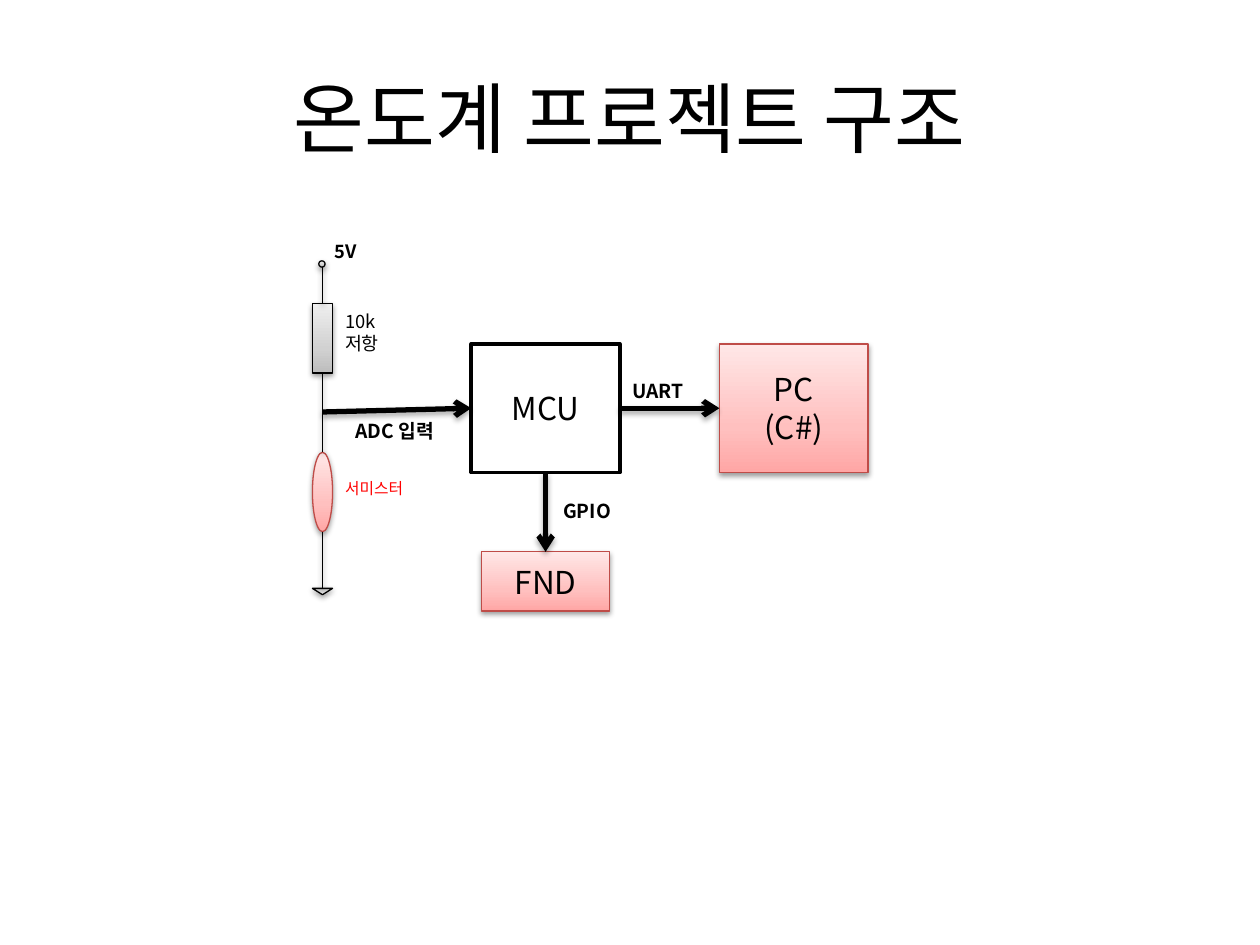
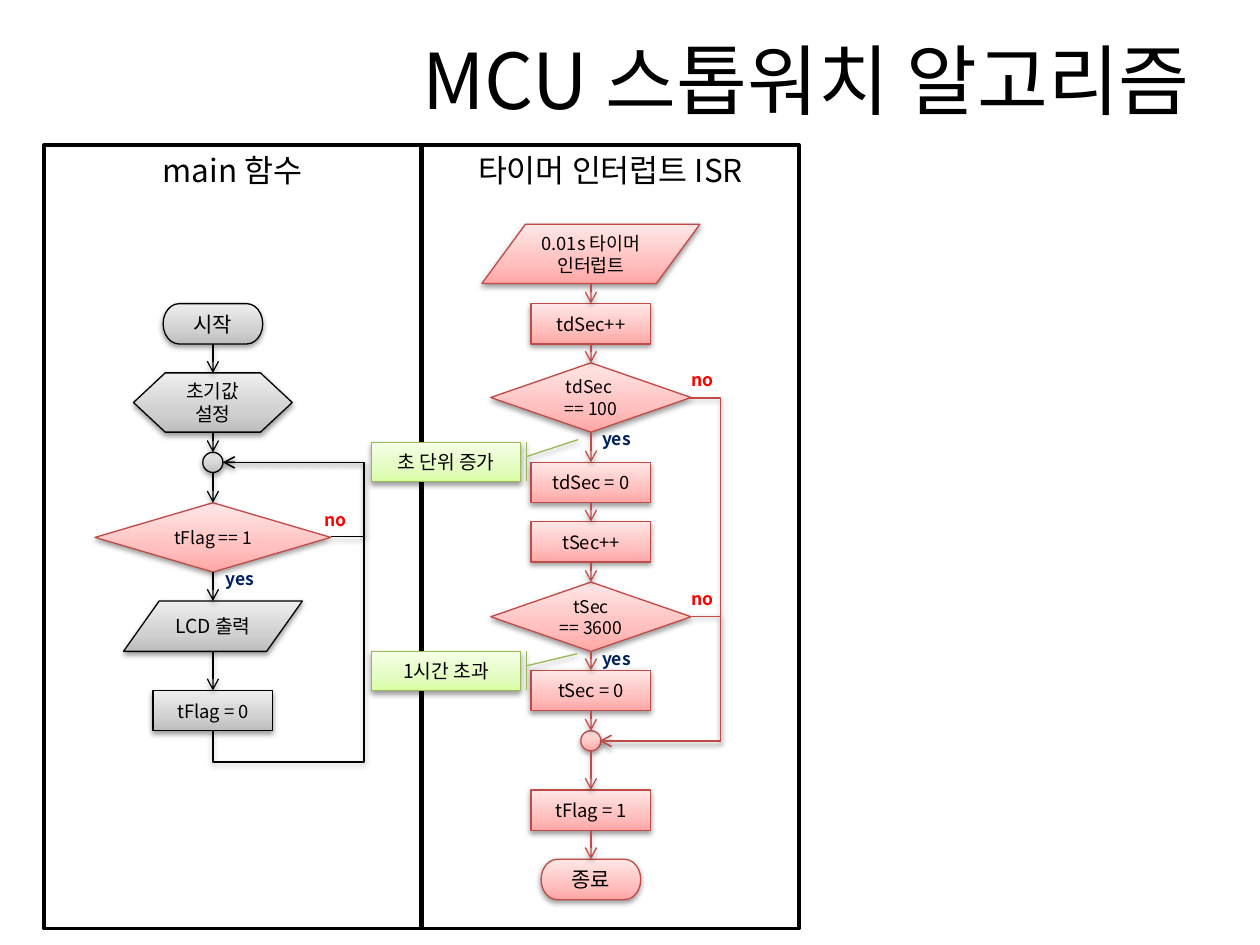
import copy

import lxml.etree
import pptx
import pptx.dml.color
import pptx.enum.shapes
import pptx.enum.text
import pptx.oxml.ns
import pptx.util

Inches = pptx.util.Inches
Pt = pptx.util.Pt
RGBColor = pptx.dml.color.RGBColor
SHAPE = pptx.enum.shapes.MSO_SHAPE
CONNECTOR = pptx.enum.shapes.MSO_CONNECTOR
ALIGN = pptx.enum.text.PP_ALIGN
ANCHOR = pptx.enum.text.MSO_ANCHOR
AUTO_SIZE = pptx.enum.text.MSO_AUTO_SIZE
qn = pptx.oxml.ns.qn

# Shared style
FONT = "Noto Sans CJK KR"
BLACK = RGBColor(0x00, 0x00, 0x00)
WHITE = RGBColor(0xFF, 0xFF, 0xFF)
RED = RGBColor(0xFF, 0x00, 0x00)
NAVY = RGBColor(0x00, 0x20, 0x60)
ROSE_LINE = RGBColor(0xBF, 0x4C, 0x48)
GREEN_LINE = RGBColor(0x98, 0xB9, 0x55)

# Palette: line colour, then gradient colours from bottom to top
GRAY = (BLACK, (RGBColor(0xBD, 0xBD, 0xBD), RGBColor(0xD1, 0xD1, 0xD1),
                RGBColor(0xEE, 0xEE, 0xEE)))
ROSE = (ROSE_LINE, (RGBColor(0xFF, 0xA6, 0xA5), RGBColor(0xFF, 0xC0, 0xBF),
                    RGBColor(0xFF, 0xE7, 0xE7)))
GREEN = (GREEN_LINE, (RGBColor(0xDA, 0xFD, 0xA7), RGBColor(0xE4, 0xFC, 0xC2),
                      RGBColor(0xF5, 0xFF, 0xE7)))
GRADIENT_STOPS = (0, 0.35, 1)

# Flowchart nodes: shape, width, height, text size
NODES = {
    "terminator": (SHAPE.FLOWCHART_TERMINATOR, 0.79, 0.32, 12),
    "preparation": (SHAPE.FLOWCHART_PREPARATION, 1.26, 0.47, 11),
    "process": (SHAPE.FLOWCHART_PROCESS, 0.95, 0.32, 10.5),
    "output": (SHAPE.FLOWCHART_DATA, 1.42, 0.4, 11),
    "interrupt": (SHAPE.FLOWCHART_DATA, 1.73, 0.47, 10.5),
    "decision": (SHAPE.FLOWCHART_DECISION, 1.59, 0.55, 10),
    "wide decision": (SHAPE.FLOWCHART_DECISION, 1.87, 0.55, 10),
    "junction": (SHAPE.FLOWCHART_CONNECTOR, 0.16, 0.16, 10),
}


def write_text(frame, text, size=18, color=BLACK, bold=False,
               align=ALIGN.CENTER, anchor=ANCHOR.MIDDLE):
    frame.word_wrap = True
    frame.vertical_anchor = anchor
    for index, line in enumerate(text.split("\n")):
        paragraph = frame.add_paragraph() if index else frame.paragraphs[0]
        paragraph.alignment = align
        run = paragraph.add_run()
        run.text = line
        run.font.name = FONT
        run.font.size = Pt(size)
        run.font.bold = bold
        run.font.color.rgb = color
        properties = run.font._element
        lxml.etree.SubElement(properties, qn("a:ea"), typeface=FONT)


def add_shadow(properties, alpha=38, distance=20000):
    effects = properties.find(qn("a:effectLst"))
    if effects is None:
        effects = lxml.etree.SubElement(properties, qn("a:effectLst"))
    shadow = lxml.etree.SubElement(
        effects, qn("a:outerShdw"), blurRad="40000", dist=str(distance),
        dir="5400000", rotWithShape="0")
    color = lxml.etree.SubElement(shadow, qn("a:srgbClr"), val="000000")
    lxml.etree.SubElement(color, qn("a:alpha"), val=str(alpha * 1000))


def fill_gradient(shape, colors):
    shape.fill.gradient()
    shape.fill.gradient_angle = 90
    stop_list = shape._element.spPr.find(qn("a:gradFill")).find(qn("a:gsLst"))
    stop_list.append(copy.deepcopy(stop_list[-1]))
    for stop, color, position in zip(shape.fill.gradient_stops, colors, GRADIENT_STOPS):
        stop.color.rgb = color
        stop.position = position


class Diagram:
    """Holds the presentation and the slide being drawn."""

    def __init__(self):
        self.presentation = pptx.Presentation()
        self.presentation.slide_width = Inches(10)
        self.presentation.slide_height = Inches(7.5)
        self.slide = None

    def new_slide(self, title, left, top, width, height):
        self.slide = self.presentation.slides.add_slide(
            self.presentation.slide_layouts[5])
        shape = self.slide.shapes.title
        shape.left, shape.top = Inches(left), Inches(top)
        shape.width, shape.height = Inches(width), Inches(height)
        write_text(shape.text_frame, title, size=44)

    def box(self, kind, left, top, width, height, palette=None, text="", **text_format):
        """A shape with a gradient and shadow, or a plain white frame without palette."""
        shape = self.slide.shapes.add_shape(
            kind, Inches(left), Inches(top), Inches(width), Inches(height))
        shape.shadow.inherit = False
        if palette:
            line_color, colors = palette
            fill_gradient(shape, colors)
            shape.line.color.rgb = line_color
            shape.line.width = Pt(0.75)
            add_shadow(shape._element.spPr)
        else:
            shape.fill.solid()
            shape.fill.fore_color.rgb = WHITE
            shape.line.color.rgb = BLACK
            shape.line.width = Pt(2)
        if text:
            write_text(shape.text_frame, text, **text_format)
        return shape

    def label(self, text, left, top, width, height, **text_format):
        shape = self.slide.shapes.add_textbox(
            Inches(left), Inches(top), Inches(width), Inches(height))
        write_text(shape.text_frame, text, align=ALIGN.LEFT,
                   anchor=ANCHOR.TOP, **text_format)
        shape.text_frame.auto_size = AUTO_SIZE.SHAPE_TO_FIT_TEXT

    def line(self, start, end, color=BLACK, weight=0.75, arrow=True,
             kind=CONNECTOR.STRAIGHT):
        connector = self.slide.shapes.add_connector(
            kind, *(Inches(value) for value in (*start, *end)))
        connector.line.color.rgb = color
        connector.line.width = Pt(weight)
        properties = connector._element.spPr
        if arrow:
            lxml.etree.SubElement(properties.find(qn("a:ln")), qn("a:tailEnd"),
                                  type="arrow")
        if weight > 1:
            add_shadow(properties, alpha=35, distance=23000)
        else:
            add_shadow(properties)
        return connector

    def elbow(self, start, end, adjustments, color=BLACK):
        connector = self.line(start, end, color, kind=CONNECTOR.ELBOW)
        geometry = connector._element.spPr.find(qn("a:prstGeom"))
        values = geometry.find(qn("a:avLst"))
        if values is None:
            values = lxml.etree.SubElement(geometry, qn("a:avLst"))
        for number, value in enumerate(adjustments, 1):
            lxml.etree.SubElement(values, qn("a:gd"), name=f"adj{number}",
                                  fmla=f"val {round(value * 100000)}")
        return connector

    def side_loop(self, start, end, side, color=BLACK):
        """Leave to the right, run along x = side and come back to the end."""
        self.elbow(start, end, [(side - start[0]) / (end[0] - start[0])], color)

    def under_loop(self, start, end, side, drop):
        """Leave downwards by drop, then run along x = side up to the end."""
        run, rise = end[0] - start[0], start[1] - end[1]
        middle_x, middle_y = (start[0] + end[0]) / 2, (start[1] + end[1]) / 2
        connector = self.elbow(
            (middle_x + rise / 2, middle_y + run / 2),
            (middle_x - rise / 2, middle_y - run / 2),
            [-drop / rise, (side - start[0]) / run])
        properties = connector._element.spPr
        properties.xfrm.set("rot", "5400000")
        properties.find(qn("a:prstGeom")).set("prst", "bentConnector4")

    def flow(self, center, nodes, palette):
        """A column of (kind, text, top) nodes with arrows between neighbours."""
        previous_bottom = None
        for kind, text, top in nodes:
            shape_kind, width, height, size = NODES[kind]
            node_palette = ROSE if kind == "wide decision" else palette
            self.box(shape_kind, center - width / 2, top, width, height,
                     node_palette, text, size=size)
            if previous_bottom is not None:
                self.line((center, previous_bottom), (center, top), palette[0])
            previous_bottom = top + height

    def callout(self, text, top, tip):
        shape = self.box(SHAPE.LINE_CALLOUT_1_BORDER_AND_ACCENT_BAR, 2.95, top,
                         1.18, 0.31, GREEN, text, size=11)
        for index, value in enumerate((0.37, 1.04, *tip)):
            shape.adjustments[index] = value


diagram = Diagram()

# Slide 1: structure of the thermometer
diagram.new_slide("온도계 프로젝트 구조", 0.5, 0.3, 9, 1.25)
diagram.box(SHAPE.RECTANGLE, 3.74, 2.73, 1.18, 1.02, text="MCU")

# Voltage divider: supply, resistor, thermistor, ground
WIRE = 2.56
diagram.box(SHAPE.FLOWCHART_CONNECTOR, 2.53, 2.07, 0.05, 0.05, GRAY)
diagram.box(SHAPE.FLOWCHART_PROCESS, 2.48, 2.41, 0.16, 0.55, GRAY)
diagram.box(SHAPE.OVAL, 2.48, 3.59, 0.16, 0.63, ROSE)
ground = diagram.box(SHAPE.ISOSCELES_TRIANGLE, 2.48, 4.67, 0.16, 0.05, GRAY)
ground._element.spPr.xfrm.set("flipV", "1")
for top, bottom in ((2.12, 2.41), (2.96, 3.59), (4.22, 4.67)):
    diagram.line((WIRE, top), (WIRE, bottom), arrow=False)
diagram.label("10k 저항", 2.64, 2.41, 0.55, 0.47, size=10.5)
diagram.label("서미스터", 2.64, 3.75, 0.71, 0.25, size=9, color=RED)
diagram.label("5V", 2.56, 1.86, 0.55, 0.28, size=10.5, bold=True)

# Peripherals and signals
diagram.box(SHAPE.RECTANGLE, 3.82, 4.38, 1.02, 0.47, ROSE, "FND")
diagram.box(SHAPE.RECTANGLE, 5.71, 2.73, 1.18, 1.02, ROSE, "PC\n(C#)")
for start, end in (((WIRE, 3.27), (3.74, 3.24)), ((4.33, 3.75), (4.33, 4.38)),
                   ((4.92, 3.24), (5.71, 3.24))):
    diagram.line(start, end, weight=3)
for text, left, top, width in (("ADC 입력", 2.72, 3.28, 0.94),
                               ("UART", 4.92, 2.96, 0.71),
                               ("GPIO", 4.37, 3.91, 0.71)):
    diagram.label(text, left, top, width, 0.29, size=11, bold=True)

# Slide 2: stopwatch flowcharts
diagram.new_slide("MCU 스톱워치 알고리즘", 2.8, 0, 7.2, 1.25)
for column, heading in enumerate(("main 함수", "타이머 인터럽트 ISR")):
    diagram.box(SHAPE.RECTANGLE, 0.35 + column * 3, 1.15, 2.99, 6.22,
                text=heading, anchor=ANCHOR.TOP)

# Main function
MAIN = 1.69
diagram.flow(MAIN, (
    ("terminator", "시작", 2.41),
    ("preparation", "초기값\n설정", 2.96),
    ("junction", "", 3.59),
    ("wide decision", "tFlag == 1", 3.99),
    ("output", "LCD 출력", 4.77),
    ("process", "tFlag = 0", 5.48),
), GRAY)
diagram.under_loop((MAIN, 5.8), (1.77, 3.67), side=2.89, drop=0.25)
diagram.side_loop((2.63, 4.26), (1.77, 3.67), side=2.89)

# Timer interrupt
ISR = 4.69
diagram.flow(ISR, (
    ("interrupt", "0.01s 타이머\n인터럽트", 1.78),
    ("process", "tdSec++", 2.41),
    ("decision", "tdSec \n== 100", 2.88),
    ("process", "tdSec = 0", 3.67),
    ("process", "tSec++", 4.14),
    ("decision", "tSec\n== 3600", 4.62),
    ("process", "tSec = 0", 5.32),
    ("junction", "", 5.8),
    ("process", "tFlag = 1", 6.27),
    ("terminator", "종료", 6.82),
), ROSE)
for start in ((5.47, 3.16), (5.49, 4.89)):
    diagram.side_loop(start, (4.76, 5.88), side=5.72, color=ROSE_LINE)

# Branch labels beside each decision
for yes_left, no_left, top in ((1.69, 2.48, 3.99), (4.68, 5.39, 2.88),
                               (4.68, 5.39, 4.62)):
    diagram.label("yes", yes_left, top + 0.47, 0.63, 0.27, size=10, color=NAVY, bold=True)
    diagram.label("no", no_left, top, 0.63, 0.27, size=10, color=RED, bold=True)

# Remarks
diagram.callout("초 단위 증가", 3.51, tip=(-0.07, 1.39))
diagram.callout("1시간 초과", 5.17, tip=(0.06, 1.38))

diagram.presentation.save("out.pptx")
